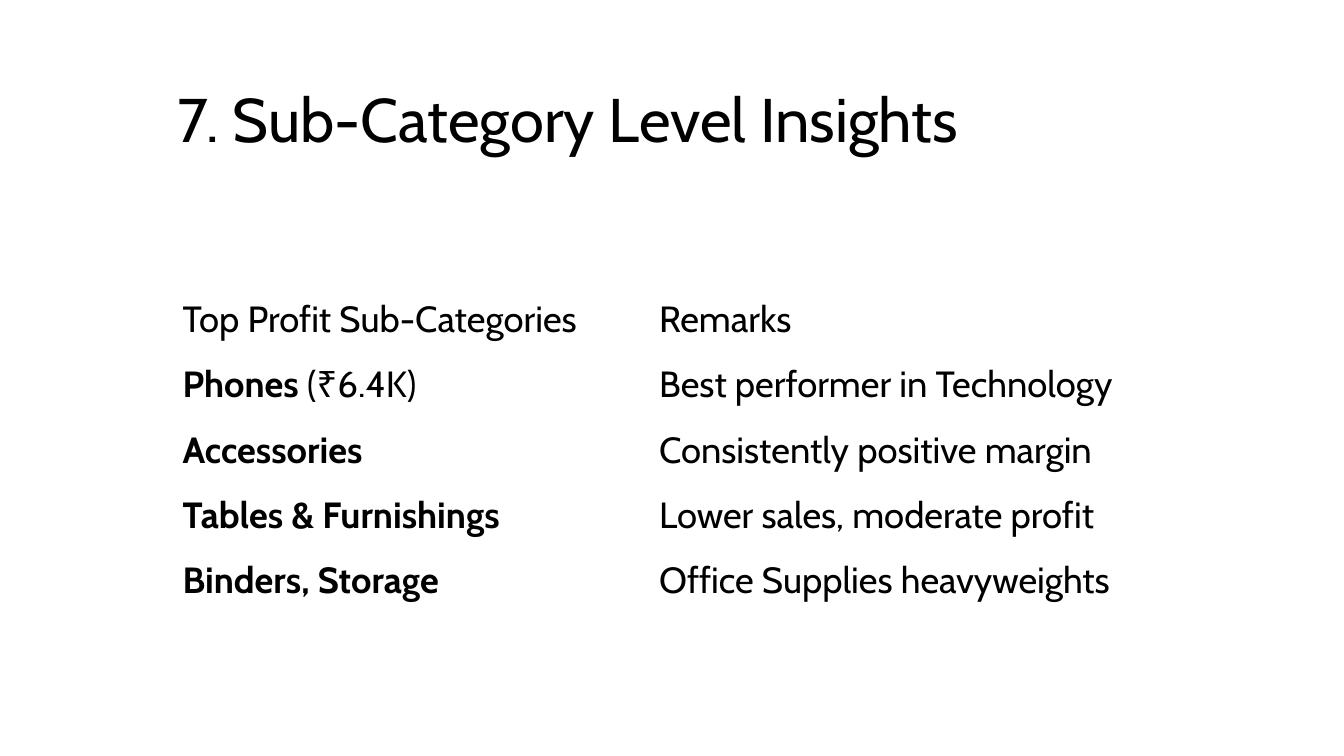
from dataclasses import dataclass

from pptx import Presentation
from pptx.dml.color import RGBColor
from pptx.enum.text import MSO_ANCHOR as Anchor, MSO_AUTO_SIZE as AutoSize, PP_ALIGN as Align
from pptx.table import _Cell as Cell
from pptx.text.text import _Paragraph as Paragraph
from pptx.util import Cm, Pt


@dataclass(frozen=True)
class Theme:
    font: str = "Cabin"
    ink: RGBColor = RGBColor(0x00, 0x00, 0x00)
    paper: RGBColor = RGBColor(0xFF, 0xFF, 0xFF)
    title_size: int = 44
    table_size: int = 26


@dataclass(frozen=True)
class Insight:
    category: str
    remark: str
    amount: str = ""
    bold: bool = True


THEME = Theme()
LEFT, WIDTH = Cm(4.22), Cm(25.45)
COLUMN_WIDTHS = (Cm(12.01), Cm(13.44))
ROW_HEIGHT = Cm(1.64)

INSIGHTS = [
    Insight("Top Profit Sub-Categories", "Remarks", bold=False),
    Insight("Phones", "Best performer in Technology", amount=" (₹6.4K)"),
    Insight("Accessories", "Consistently positive margin"),
    Insight("Tables & Furnishings", "Lower sales, moderate profit"),
    Insight("Binders, Storage", "Office Supplies heavyweights"),
]


def style_paragraph(paragraph: Paragraph, size: int) -> None:
    paragraph.alignment = Align.LEFT
    paragraph.font.name = THEME.font
    paragraph.font.size = Pt(size)
    paragraph.font.color.rgb = THEME.ink


def fill_cell(cell: Cell, text: str, bold: bool = False, suffix: str = "") -> None:
    cell.fill.background()
    cell.vertical_anchor = Anchor.MIDDLE
    cell.margin_left = cell.margin_right = Cm(0.38)
    cell.margin_top = cell.margin_bottom = Cm(0.19)
    paragraph = cell.text_frame.paragraphs[0]
    style_paragraph(paragraph, THEME.table_size)
    for content, weight in ((text, bold), (suffix, False)):
        if content:
            run = paragraph.add_run()
            run.text = content
            run.font.bold = weight


def main() -> None:
    presentation = Presentation()
    presentation.slide_width, presentation.slide_height = Cm(33.87), Cm(19.05)
    slide = presentation.slides.add_slide(presentation.slide_layouts[5])
    slide.background.fill.solid()
    slide.background.fill.fore_color.rgb = THEME.paper

    # Title
    title = slide.shapes.title
    title.left, title.top, title.width, title.height = LEFT, Cm(1.52), WIDTH, Cm(3.15)
    title.text_frame.text = "7. Sub-Category Level Insights"
    title.text_frame.auto_size = AutoSize.NONE
    title.text_frame.vertical_anchor = Anchor.MIDDLE
    heading = title.text_frame.paragraphs[0]
    style_paragraph(heading, THEME.title_size)
    heading.line_spacing = 0.9

    # Table of sub-categories and remarks
    table = slide.shapes.add_table(
        len(INSIGHTS), len(COLUMN_WIDTHS), LEFT, Cm(7.24), WIDTH, ROW_HEIGHT * len(INSIGHTS)
    ).table
    table.first_row = table.horz_banding = False
    for column, width in zip(table.columns, COLUMN_WIDTHS):
        column.width = width
    for index, insight in enumerate(INSIGHTS):
        table.rows[index].height = ROW_HEIGHT
        fill_cell(table.cell(index, 0), insight.category, insight.bold, insight.amount)
        fill_cell(table.cell(index, 1), insight.remark)

    presentation.save("out.pptx")


if __name__ == "__main__":
    main()
